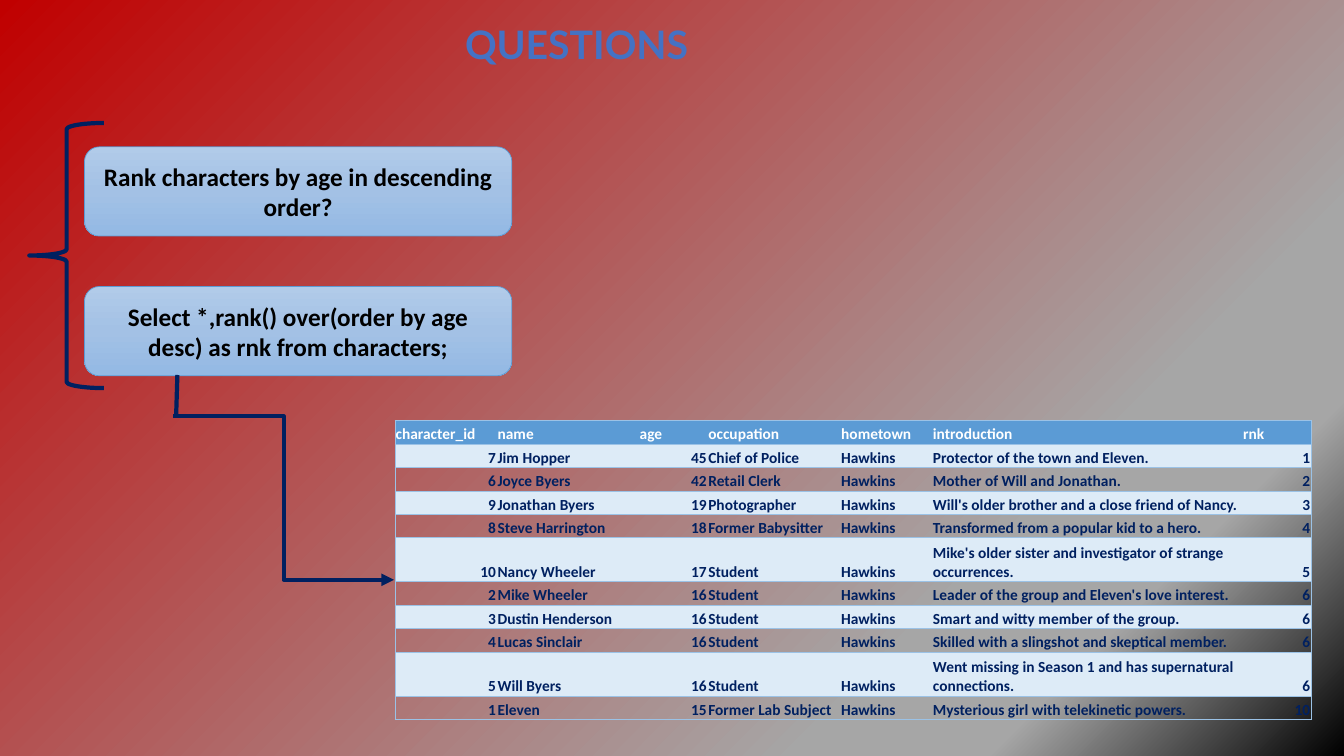
from lxml.etree import SubElement
from pptx import Presentation
from pptx.dml.color import RGBColor
from pptx.enum.shapes import MSO_CONNECTOR, MSO_SHAPE
from pptx.enum.text import MSO_ANCHOR, PP_ALIGN
from pptx.oxml.ns import qn
from pptx.util import Cm, Pt

COLORS = {
    "red": "C00000", "gray": "A6A6A6", "black": "000000", "white": "FFFFFF",
    "title": "4472C4", "navy": "002060", "outline": "203864",
    "box_top": "B1CBE9", "box_mid": "A3C1E5", "box_low": "93B9E4",
    "header": "5B9BD5", "band": "DDEBF7", "rule": "9BC2E6",
}
BACKGROUND = [(0, "red"), (74, "gray"), (83, "gray"), (100, "black")]
BOX_FILL = [(0, "box_top"), (50, "box_mid"), (100, "box_low")]
QUESTION = [
    "Rank characters by age in descending order?",
    "Select *,rank() over(order by age desc) as rnk from characters;",
]
COLUMNS = [("character_id", 2.57), ("name", 3.58), ("age", 1.73), ("occupation", 3.35),
           ("hometown", 2.31), ("introduction", 7.82), ("rnk", 1.73)]
NUMERIC = {"character_id", "age", "rnk"}
TOWN = "Hawkins"
CHARACTERS = [
    (7, "Jim Hopper", 45, "Chief of Police", TOWN, "Protector of the town and Eleven.", 1),
    (6, "Joyce Byers", 42, "Retail Clerk", TOWN, "Mother of Will and Jonathan.", 2),
    (9, "Jonathan Byers", 19, "Photographer", TOWN,
     "Will's older brother and a close friend of Nancy.", 3),
    (8, "Steve Harrington", 18, "Former Babysitter", TOWN,
     "Transformed from a popular kid to a hero.", 4),
    (10, "Nancy Wheeler", 17, "Student", TOWN,
     "Mike's older sister and investigator of strange occurrences.", 5),
    (2, "Mike Wheeler", 16, "Student", TOWN,
     "Leader of the group and Eleven's love interest.", 6),
    (3, "Dustin Henderson", 16, "Student", TOWN, "Smart and witty member of the group.", 6),
    (4, "Lucas Sinclair", 16, "Student", TOWN,
     "Skilled with a slingshot and skeptical member.", 6),
    (5, "Will Byers", 16, "Student", TOWN,
     "Went missing in Season 1 and has supernatural connections.", 6),
    (1, "Eleven", 15, "Former Lab Subject", TOWN,
     "Mysterious girl with telekinetic powers.", 10),
]
ROW_HEIGHT, TALL_ROW_HEIGHT, TALL_ROWS = 0.59, 1.11, {5, 9}
NO_STYLE = "{2D5ABB26-0587-4C30-8999-92F81FD0307C}"


def rgb(name):
    return RGBColor.from_string(COLORS[name])


def add_solid(parent, color):
    SubElement(SubElement(parent, qn("a:solidFill")), qn("a:srgbClr"), val=COLORS[color])


def set_gradient(fill, element, stops, angle):
    fill.gradient()
    grad = element.find(".//" + qn("a:gradFill"))
    gs_list = grad.find(qn("a:gsLst"))
    for gs in list(gs_list):
        gs_list.remove(gs)
    for pos, color in stops:
        gs = SubElement(gs_list, qn("a:gs"), pos=str(pos * 1000))
        SubElement(gs, qn("a:srgbClr"), val=COLORS[color])
    grad.find(qn("a:lin")).set("ang", str(angle * 60000))


def write(tf, text, color, size, font="Calibri", align=PP_ALIGN.CENTER, outline=None):
    p = tf.paragraphs[0]
    p.alignment = align
    r = p.add_run()
    r.text = text
    for name, value in {"size": Pt(size), "name": font, "bold": True}.items():
        setattr(r.font, name, value)
    r.font.color.rgb = rgb(color)
    if outline:
        r_pr = r.font._element
        ln = SubElement(r_pr, qn("a:ln"), w=str(Pt(0.75)))
        add_solid(ln, outline)
        r_pr.insert(0, ln)


def set_line(sp, color, width):
    sp.line.color.rgb = rgb(color)
    sp.line.width = Pt(width)


def add_title(s, left, top, width, height):
    sp = s.shapes.add_textbox(Cm(left), Cm(top), Cm(width), Cm(height))
    sp.text_frame.word_wrap = True
    write(sp.text_frame, "QUESTIONS", "title", 28, "Lato", outline="white")


def add_question(s, left, top, width, height):
    brace = s.shapes.add_shape(MSO_SHAPE.LEFT_BRACE, Cm(left), Cm(top), Cm(1.88), Cm(height))
    brace.shadow.inherit = False
    brace.fill.background()
    set_line(brace, "navy", 3)
    indent, pitch = 1.39, 3.52
    for i, text in enumerate(QUESTION):
        sp = s.shapes.add_shape(MSO_SHAPE.ROUNDED_RECTANGLE, Cm(left + indent),
                                Cm(top + 0.6 + i * pitch), Cm(width - indent), Cm(2.25))
        sp.shadow.inherit = False
        set_gradient(sp.fill, sp._element, BOX_FILL, 90)
        set_line(sp, "header", 0.5)
        tf = sp.text_frame
        for name, value in {"word_wrap": True, "vertical_anchor": MSO_ANCHOR.MIDDLE}.items():
            setattr(tf, name, value)
        write(tf, text, "black", 18, outline="outline")


def add_line(s, kind, x1, y1, x2, y2):
    sp = s.shapes.add_connector(kind, Cm(x1), Cm(y1), Cm(x2), Cm(y2))
    set_line(sp, "navy", 3)
    SubElement(sp._element.spPr, qn("a:effectLst"))
    return sp


def add_result_arrow(s, left, top, width, height):
    drop = 1.04
    arrow = add_line(s, MSO_CONNECTOR.ELBOW, left, top + drop, left + width, top + height)
    SubElement(arrow.line._get_or_add_ln(), qn("a:tailEnd"), type="triangle")
    add_line(s, MSO_CONNECTOR.STRAIGHT, left + 0.07, top + drop - 0.05, left + 0.1, top)


def set_borders(cell, sides):
    tc_pr = cell._tc.get_or_add_tcPr()
    for i, side in enumerate("LRTB"):
        ln = SubElement(tc_pr, qn("a:ln" + side), w=str(Pt(0.5)))
        if side in sides:
            add_solid(ln, "rule")
        else:
            SubElement(ln, qn("a:noFill"))
        tc_pr.insert(i, ln)


def add_cell(cell, row, col, value):
    header = row == 0
    if header or row % 2:
        cell.fill.solid()
        cell.fill.fore_color.rgb = rgb("header" if header else "band")
    else:
        cell.fill.background()
    layout = {"vertical_anchor": MSO_ANCHOR.BOTTOM, "margin_left": Cm(0.02),
              "margin_right": Cm(0.02), "margin_top": Cm(0.02), "margin_bottom": 0}
    for name, setting in layout.items():
        setattr(cell, name, setting)
    right = not header and COLUMNS[col][0] in NUMERIC
    write(cell.text_frame, str(value), "white" if header else "navy", 11,
          align=PP_ALIGN.RIGHT if right else PP_ALIGN.LEFT)
    set_borders(cell, "TB" + {0: "L", len(COLUMNS) - 1: "R"}.get(col, ""))


def add_result(s, left, top, width, height):
    rows = [[name for name, _ in COLUMNS], *CHARACTERS]
    frame = s.shapes.add_table(len(rows), len(COLUMNS), Cm(left), Cm(top), Cm(width), Cm(height))
    table = frame.table
    table.first_row = table.horz_banding = False
    table._tbl.tblPr.find(qn("a:tableStyleId")).text = NO_STYLE
    for column, (_, col_width) in zip(table.columns, COLUMNS):
        column.width = Cm(col_width)
    for i, values in enumerate(rows):
        table.rows[i].height = Cm(TALL_ROW_HEIGHT if i in TALL_ROWS else ROW_HEIGHT)
        for j, value in enumerate(values):
            add_cell(table.cell(i, j), i, j, value)


def main():
    prs = Presentation()
    prs.slide_width, prs.slide_height = Cm(33.87), Cm(19.05)
    s = prs.slides.add_slide(prs.slide_layouts[6])
    set_gradient(s.background.fill, s._element, BACKGROUND, 45)
    add_title(s, 8.84, 0.38, 11.38, 1.45)
    add_question(s, 0.74, 3.1, 12.16, 6.68)
    add_result_arrow(s, 4.37, 9.45, 5.56, 5.16)
    add_result(s, 9.95, 10.6, 23.09, 7.53)
    prs.save("out.pptx")


if __name__ == "__main__":
    main()
